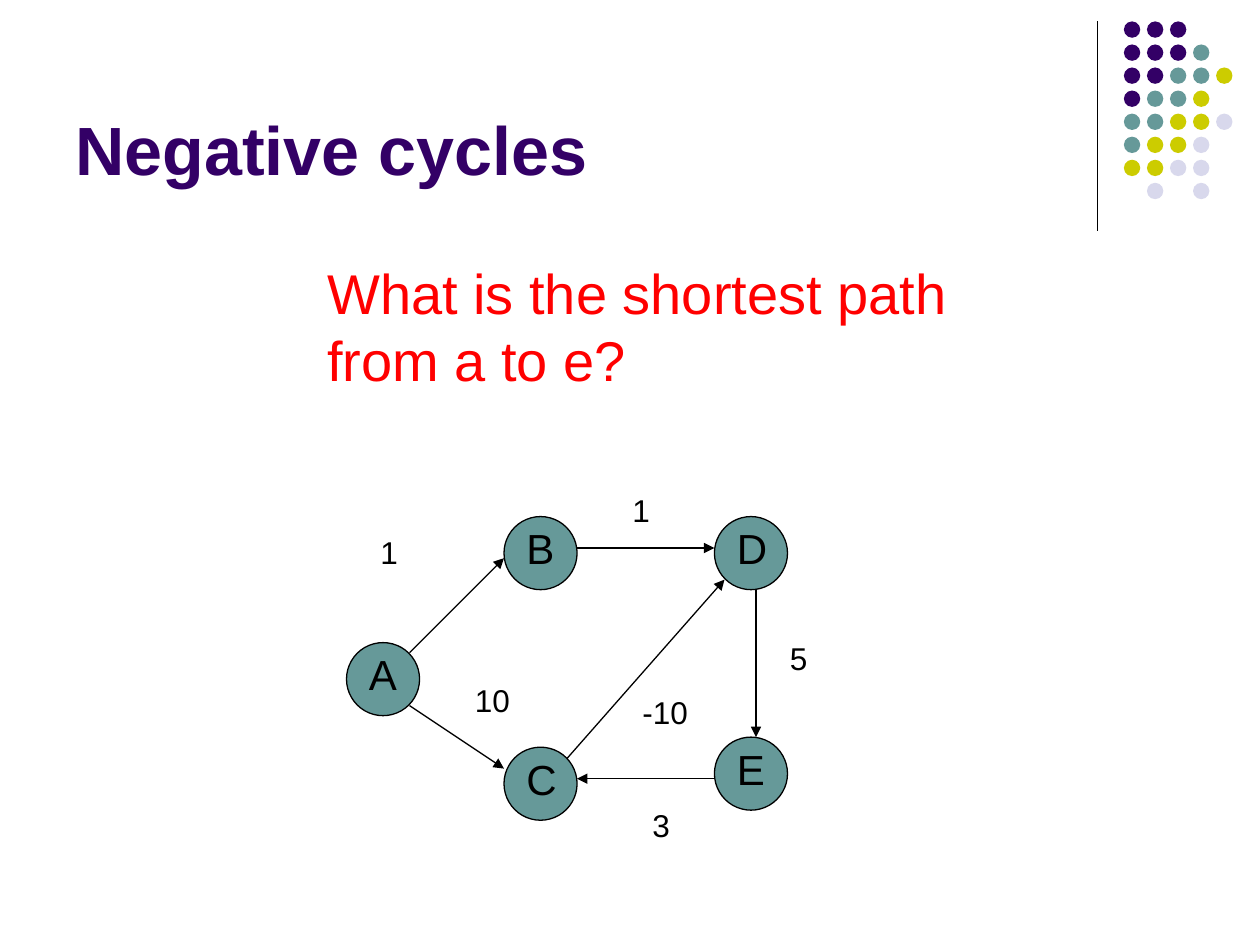
from dataclasses import dataclass

from lxml.etree import SubElement
from pptx import Presentation
from pptx.dml.color import RGBColor
from pptx.enum.shapes import MSO_CONNECTOR, MSO_SHAPE
from pptx.enum.text import MSO_ANCHOR
from pptx.oxml.ns import qn
from pptx.util import Inches, Pt


@dataclass(frozen=True)
class Theme:
    font: str = "Arial"
    purple: str = "330066"
    teal: str = "669999"
    olive: str = "CCCC00"
    lavender: str = "D8D8EC"
    black: str = "000000"
    red: str = "FF0000"
    title_size: float = 39
    question_size: float = 32
    node_size: float = 24
    weight_size: float = 18
    line_width: float = 0.74


@dataclass(frozen=True)
class Node:
    name: str
    left: float
    top: float


@dataclass(frozen=True)
class Edge:
    start: tuple[float, float]
    end: tuple[float, float]
    weight: str
    label_at: tuple[float, float]


THEME = Theme()
NODE_DIAMETER = 0.58
DOT_DIAMETER = 0.13
DOT_PITCH = 0.183
DOT_COLORS = {"P": THEME.purple, "T": THEME.teal, "O": THEME.olive, "L": THEME.lavender}
DOT_ROWS = ["PPP", "PPPT", "PPTTO", "PTTO", "TTOOL", "TOOL", "OOLL", ".L.L"]

NODES = [
    Node("A", 2.75, 5.1),
    Node("B", 4, 4.1),
    Node("C", 4, 5.93),
    Node("E", 5.67, 5.85),
    Node("D", 5.67, 4.1),
]
EDGES = [
    Edge((3.25, 5.18), (4, 4.43), "1", (2.92, 4.18)),
    Edge((3.25, 5.6), (4, 6.1), "10", (3.67, 5.36)),
    Edge((4.58, 4.35), (5.67, 4.35), "1", (4.92, 3.85)),
    Edge((4.5, 6.02), (5.75, 4.6), "-10", (5, 5.45)),
    Edge((6, 4.68), (6, 5.85), "5", (6.17, 5.02)),
    Edge((5.67, 6.18), (4.58, 6.18), "3", (5.08, 6.35)),
]


def add_text(shapes, text: str, left: float, top: float, width: float, height: float, *,
             size: float, color: str = THEME.black, bold: bool = False,
             anchor: MSO_ANCHOR = MSO_ANCHOR.TOP) -> None:
    box = shapes.add_textbox(Inches(left), Inches(top), Inches(width), Inches(height))
    frame = box.text_frame
    frame.word_wrap = True
    frame.vertical_anchor = anchor
    span = frame.paragraphs[0].add_run()
    span.text = text
    span.font.name = THEME.font
    span.font.size = Pt(size)
    span.font.bold = bold
    span.font.color.rgb = RGBColor.from_string(color)


def add_circle(shapes, left: float, top: float, diameter: float, color: str,
               outlined: bool = False) -> None:
    circle = shapes.add_shape(MSO_SHAPE.OVAL, Inches(left), Inches(top),
                              Inches(diameter), Inches(diameter))
    circle.shadow.inherit = False
    circle.fill.solid()
    circle.fill.fore_color.rgb = RGBColor.from_string(color)
    if outlined:
        circle.line.color.rgb = RGBColor.from_string(THEME.black)
        circle.line.width = Pt(THEME.line_width)
    else:
        circle.line.fill.background()


def add_line(shapes, start: tuple[float, float], end: tuple[float, float],
             arrow: bool = False) -> None:
    line = shapes.add_connector(MSO_CONNECTOR.STRAIGHT, Inches(start[0]), Inches(start[1]),
                                Inches(end[0]), Inches(end[1]))
    line.line.color.rgb = RGBColor.from_string(THEME.black)
    line.line.width = Pt(THEME.line_width)
    properties = line._element.spPr
    if arrow:
        SubElement(properties.find(qn("a:ln")), qn("a:tailEnd"), type="triangle")
    SubElement(properties, qn("a:effectLst"))


def add_dots(shapes) -> None:
    dots = shapes.add_group_shape().shapes
    for row, keys in enumerate(DOT_ROWS):
        for column, key in enumerate(keys):
            if key in DOT_COLORS:
                add_circle(dots, 8.92 + column * DOT_PITCH, 0.17 + row * DOT_PITCH,
                           DOT_DIAMETER, DOT_COLORS[key])


def add_node(shapes, node: Node) -> None:
    group = shapes.add_group_shape().shapes
    add_circle(group, node.left, node.top, NODE_DIAMETER, THEME.teal, outlined=True)
    add_text(group, node.name, node.left + 0.08, node.top, 0.5, 0.5, size=THEME.node_size)


def add_edge(shapes, edge: Edge) -> None:
    add_line(shapes, edge.start, edge.end, arrow=True)
    add_text(shapes, edge.weight, *edge.label_at, 0.75, 0.4, size=THEME.weight_size)


def build() -> None:
    deck = Presentation()
    deck.slide_width = Inches(10)
    deck.slide_height = Inches(7.5)
    page = deck.slides.add_slide(deck.slide_layouts[6])
    shapes = page.shapes
    add_line(shapes, (8.71, 0.17), (8.71, 1.83))
    add_dots(shapes)
    add_text(shapes, "Negative cycles", 0.5, 0.13, 8.25, 1.42, size=THEME.title_size,
             color=THEME.purple, bold=True, anchor=MSO_ANCHOR.BOTTOM)
    for node in NODES:
        add_node(shapes, node)
    for edge in EDGES:
        add_edge(shapes, edge)
    add_text(shapes, "What is the shortest path from a to e?", 2.5, 2, 5.67, 1.17,
             size=THEME.question_size, color=THEME.red)
    deck.save("out.pptx")


build()
